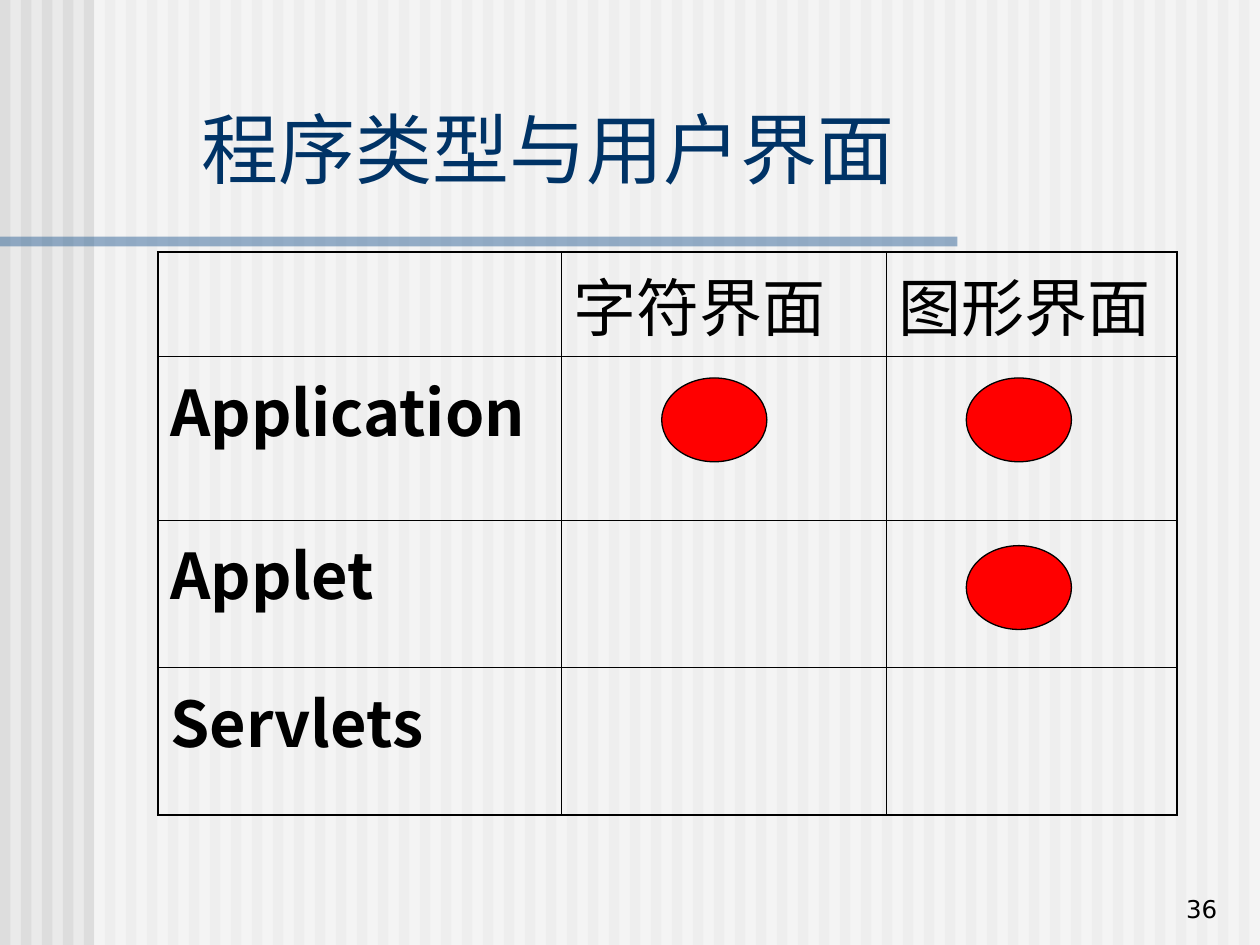
from lxml.etree import SubElement
from pptx import Presentation
from pptx.dml.color import RGBColor
from pptx.enum.shapes import MSO_SHAPE as Shape
from pptx.enum.text import MSO_ANCHOR as Anchor, PP_ALIGN as Align
from pptx.oxml import parse_xml
from pptx.oxml.ns import nsdecls, qn
from pptx.util import Cm, Pt

BACKGROUND = RGBColor(0xEA, 0xEA, 0xEA)
STRIPE = RGBColor(0xDD, 0xDD, 0xDD)
WHITE = RGBColor(0xFF, 0xFF, 0xFF)
RULE_BLUE = RGBColor(0x33, 0x66, 0x99)
TITLE_BLUE = RGBColor(0x00, 0x33, 0x66)
BLACK = RGBColor(0x00, 0x00, 0x00)
RED = RGBColor(0xFF, 0x00, 0x00)

SANS = "DejaVu Sans"
CJK = "Noto Sans CJK SC"

SLIDE_W, SLIDE_H = 25.4, 19.05
STRIPE_COUNT = 60
OUTER, INNER = 1.08, 0.45

COLUMN_WIDTHS = (8.13, 6.55, 5.87)
ROW_HEIGHTS = (2.11, 3.3, 2.97, 2.97)
SUPPORT_ROWS = (
    ("", "字符界面", "图形界面"),
    ("Application", "", ""),
    ("Applet", "", ""),
    ("Servlets", "", ""),
)
# Support marks, measured from the corner of the table
MARK_W, MARK_H = 2.12, 1.69
MARKS = ((10.16, 2.54), (16.3, 2.54), (16.3, 5.92))


def write_text(frame, text, size, font=SANS, color=BLACK, bold=False,
               align=Align.LEFT, space_before=0):
    paragraph = frame.paragraphs[0]
    paragraph.alignment = align
    paragraph.space_before = Pt(space_before)
    run = paragraph.add_run()
    run.text = text
    run.font.size = Pt(size)
    run.font.name = font
    run.font.bold = bold
    run.font.color.rgb = color
    SubElement(run.font._element, qn("a:ea"), typeface=font)


def add_filled(shapes, kind, left, top, width, height, color, alpha=None,
               outline=None):
    shape = shapes.add_shape(kind, Cm(left), Cm(top), Cm(width), Cm(height))
    shape.shadow.inherit = False
    shape.fill.solid()
    shape.fill.fore_color.rgb = color
    if alpha is not None:
        tint = shape.element.spPr.find(qn("a:solidFill"))[0]
        SubElement(tint, qn("a:alpha"), val=str(alpha * 1000))
    if outline is None:
        shape.line.fill.background()
    else:
        shape.line.color.rgb = outline
        shape.line.width = Pt(0.75)
    return shape


def add_backdrop(slide, left, top, width, height):
    slide.background.fill.solid()
    slide.background.fill.fore_color.rgb = BACKGROUND
    backdrop = slide.shapes.add_group_shape().shapes

    # Stripes are half as wide as their pitch
    pitch = width / STRIPE_COUNT
    for index in range(STRIPE_COUNT):
        add_filled(backdrop, Shape.RECTANGLE, left + index * pitch, top,
                   pitch / 2, height, STRIPE)

    # Pale veil and the rule under the title
    add_filled(backdrop, Shape.RECTANGLE, left + 1.9, top, width - 1.9,
               height, WHITE, alpha=50)
    add_filled(backdrop, Shape.RECTANGLE, left, top + 4.77, 19.3, 0.2,
               RULE_BLUE, alpha=50)


def add_title(slide, left, top, width, height):
    title = slide.shapes.title
    title.left, title.top = Cm(left), Cm(top)
    title.width, title.height = Cm(width), Cm(height)
    title.text_frame.vertical_anchor = Anchor.BOTTOM
    write_text(title.text_frame, "程序类型与用户界面", 44, color=TITLE_BLUE)
    # Bring the title in front of the backdrop
    slide.shapes.element.append(title.element)


def set_borders(cell, **widths):
    properties = cell._tc.get_or_add_tcPr()
    for position, (side, width) in enumerate(widths.items()):
        properties.insert(position, parse_xml(
            f'<a:ln{side} {nsdecls("a")} w="{Pt(width)}">'
            f'<a:solidFill><a:srgbClr val="{BLACK}"/></a:solidFill>'
            f'</a:ln{side}>'))


def add_support_table(slide, left, top):
    last_row, last_column = len(ROW_HEIGHTS) - 1, len(COLUMN_WIDTHS) - 1
    table = slide.shapes.add_table(
        len(ROW_HEIGHTS), len(COLUMN_WIDTHS), Cm(left), Cm(top),
        Cm(sum(COLUMN_WIDTHS)), Cm(sum(ROW_HEIGHTS))).table
    table.first_row = table.horz_banding = False
    for column, width in zip(table.columns, COLUMN_WIDTHS):
        column.width = Cm(width)
    for row, height in zip(table.rows, ROW_HEIGHTS):
        row.height = Cm(height)

    for r, labels in enumerate(SUPPORT_ROWS):
        for c, label in enumerate(labels):
            cell = table.cell(r, c)
            cell.fill.background()
            set_borders(cell,
                        L=OUTER if c == 0 else INNER,
                        R=OUTER if c == last_column else INNER,
                        T=OUTER if r == 0 else INNER,
                        B=OUTER if r == last_row else INNER)
            if label:
                write_text(cell.text_frame, label, 36, font=CJK,
                           bold=c == 0, space_before=9)

    # Marks for the supported combinations
    for x, y in MARKS:
        add_filled(slide.shapes, Shape.OVAL, left + x, top + y,
                   MARK_W, MARK_H, RED, outline=BLACK)


def add_page_number(slide, left, top, width, height):
    number = slide.shapes.add_textbox(Cm(left), Cm(top), Cm(width), Cm(height))
    number.text_frame.word_wrap = True
    number.text_frame.vertical_anchor = Anchor.BOTTOM
    write_text(number.text_frame, "36", 14, align=Align.RIGHT)


def main():
    deck = Presentation()
    deck.slide_width, deck.slide_height = Cm(SLIDE_W), Cm(SLIDE_H)
    slide = deck.slides.add_slide(deck.slide_layouts[5])
    add_backdrop(slide, 0, 0, SLIDE_W, SLIDE_H)
    add_title(slide, 3.81, 1.9, 21.59, 2.13)
    add_support_table(slide, 3.18, 5.08)
    add_page_number(slide, 19.5, 17.47, 5.29, 1.27)
    deck.save("out.pptx")


if __name__ == "__main__":
    main()
